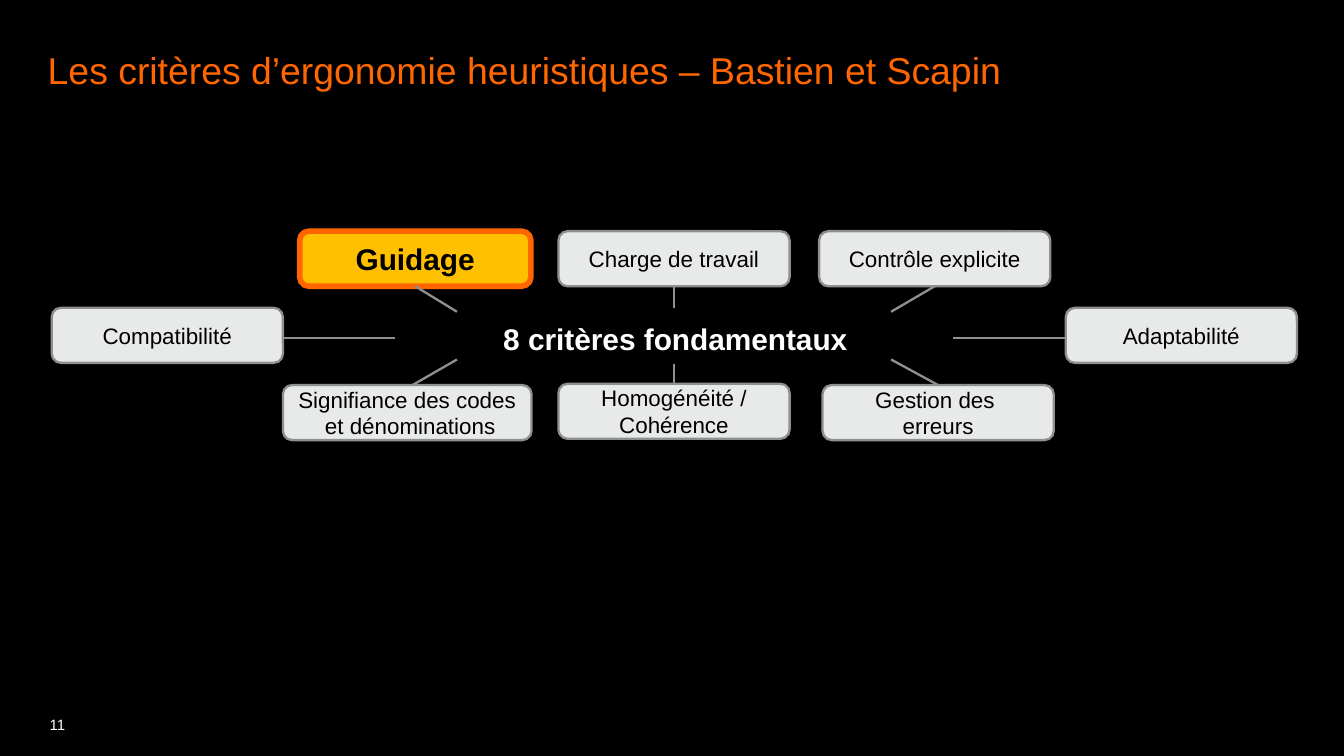
from lxml import etree
from pptx import Presentation
from pptx import util as u
from pptx.dml.color import RGBColor
from pptx.enum import shapes, text
from pptx.oxml.ns import qn

PX = 4572
COLORS = {
    "background": "000000",
    "accent": "FF6600",
    "highlight": "FFC000",
    "panel": "E8E9E9",
    "outline": "8E908F",
    "dark": "000000",
    "light": "FFFFFF",
}
BOX_WIDTH, BOX_HEIGHT = 344, 82
TOP, SIDE, BOTTOM = 0, 114, 229

CRITERIA = {
    "guidance": ("Guidage", 369, TOP, BOX_WIDTH),
    "workload": ("Charge de travail", 754, TOP, BOX_WIDTH),
    "control": ("Contrôle explicite", 1142, TOP, BOX_WIDTH),
    "adaptability": ("Adaptabilité", 1509, SIDE, BOX_WIDTH),
    "errors": ("Gestion des \nerreurs", 1147, BOTTOM, BOX_WIDTH),
    "consistency": ("Homogénéité\u00a0/\nCohérence", 754, BOTTOM - 2, BOX_WIDTH),
    "codes": ("Signifiance des codes\n et dénominations", 344, BOTTOM, 370),
    "compatibility": ("Compatibilité", 0, SIDE, BOX_WIDTH),
}
SPOKES = [
    ("guidance", 2, (541, 82), (603, 120)),
    ("workload", 2, (926, 82), (926, 114)),
    ("control", 2, (1314, 82), (1249, 120)),
    ("errors", 0, (1319, 229), (1249, 191)),
    ("consistency", 0, (926, 227), (926, 198)),
    ("codes", None, (537, 229), (603, 191)),
    ("compatibility", None, (344, 159), (511, 159)),
    ("adaptability", None, (1509, 159), (1341, 159)),
]


def px(length):
    return u.Emu(length * PX)


def color(name):
    return RGBColor.from_string(COLORS[name])


def write(shape, words, size, ink, bold=False, align=text.PP_ALIGN.LEFT):
    frame = shape.text_frame
    frame.text = words
    for para in frame.paragraphs:
        para.alignment = align
        for span in para.runs:
            span.font.name = "Arial"
            span.font.size = u.Pt(size)
            span.font.bold = bold
            span.font.color.rgb = color(ink)
    return frame


def clear_margins(frame):
    frame.margin_left = frame.margin_right = 0
    frame.margin_top = frame.margin_bottom = 0


def add_title(page, left, top, width, height):
    title = page.shapes.title
    title.left, title.top, title.width, title.height = map(px, (left, top, width, height))
    frame = write(title, "Les critères d’ergonomie heuristiques – Bastien et Scapin", 20, "accent")
    clear_margins(frame)
    frame.vertical_anchor = text.MSO_ANCHOR.TOP
    frame.auto_size = text.MSO_AUTO_SIZE.NONE
    frame.paragraphs[0].line_spacing = 0.9


def add_page_number(page, left, top, width, height):
    number = page.shapes.add_textbox(*map(px, (left, top, width, height)))
    frame = write(number, "11", 8, "light")
    clear_margins(frame)
    frame.word_wrap = True
    frame.vertical_anchor = text.MSO_ANCHOR.BOTTOM
    frame.paragraphs[0].line_spacing = 0.85
    frame.paragraphs[0].space_after = u.Pt(12)


def add_criterion(page, words, left, top, width, selected):
    box = page.shapes.add_shape(
        shapes.MSO_SHAPE.FLOWCHART_ALTERNATE_PROCESS,
        *map(px, (left, top, width, BOX_HEIGHT)))
    box.shadow.inherit = False
    box.fill.solid()
    box.fill.fore_color.rgb = color("highlight" if selected else "panel")
    box.line.color.rgb = color("accent" if selected else "outline")
    box.line.width = u.Pt(3 if selected else 1.25)
    frame = write(box, words, 16 if selected else 12, "dark", selected, text.PP_ALIGN.CENTER)
    frame.word_wrap = False
    frame.vertical_anchor = text.MSO_ANCHOR.MIDDLE
    return box


def add_spoke(page, start, end, box, side):
    spoke = page.shapes.add_connector(
        shapes.MSO_CONNECTOR.STRAIGHT, *map(px, start + end))
    spoke.line.color.rgb = color("outline")
    spoke.line.width = u.Pt(1.25)
    etree.SubElement(spoke._element.spPr, qn("a:effectLst"))
    if side is not None:
        spoke.begin_connect(box, side)


def add_criteria_map(page, left, top):
    boxes = {}
    for name, (words, x, y, width) in CRITERIA.items():
        boxes[name] = add_criterion(page, words, left + x, top + y, width, name == "guidance")
    centre = page.shapes.add_textbox(*map(px, (left + 559, top + 123, 738, 74)))
    frame = write(centre, "8 critères fondamentaux", 16, "light", True, text.PP_ALIGN.CENTER)
    frame.word_wrap = True
    frame.paragraphs[0].space_before = u.Pt(10)
    for name, side, start, end in SPOKES:
        add_spoke(page, (left + start[0], top + start[1]),
                  (left + end[0], top + end[1]), boxes[name], side)


def main():
    deck = Presentation()
    deck.slide_width, deck.slide_height = px(2000), px(1125)
    page = deck.slides.add_slide(deck.slide_layouts[5])
    page.background.fill.solid()
    page.background.fill.fore_color.rgb = color("background")
    add_page_number(page, 74, 1018, 60, 74)
    add_title(page, 71, 78, 1862, 106)
    add_criteria_map(page, 77, 344)
    deck.save("out.pptx")


if __name__ == "__main__":
    main()
